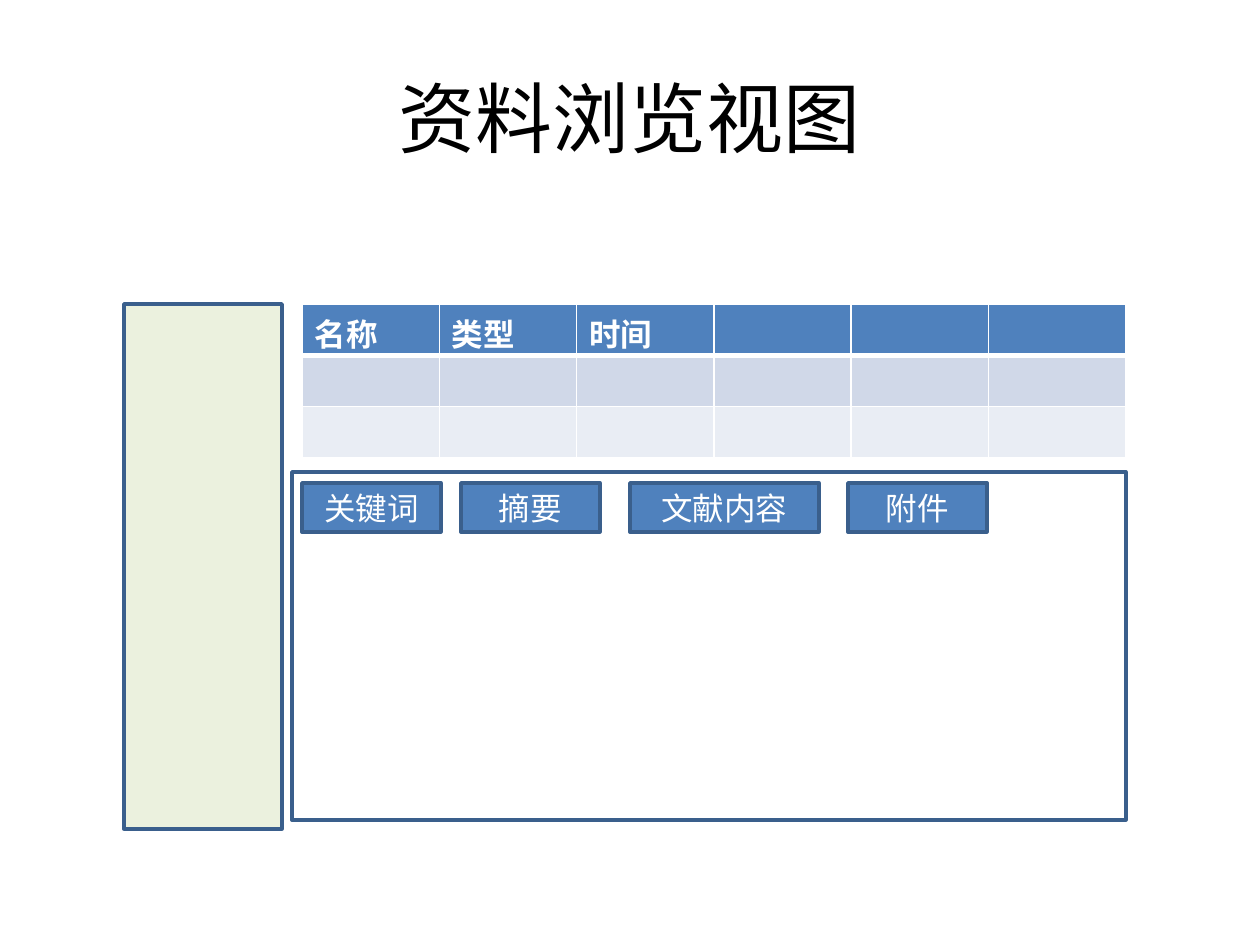
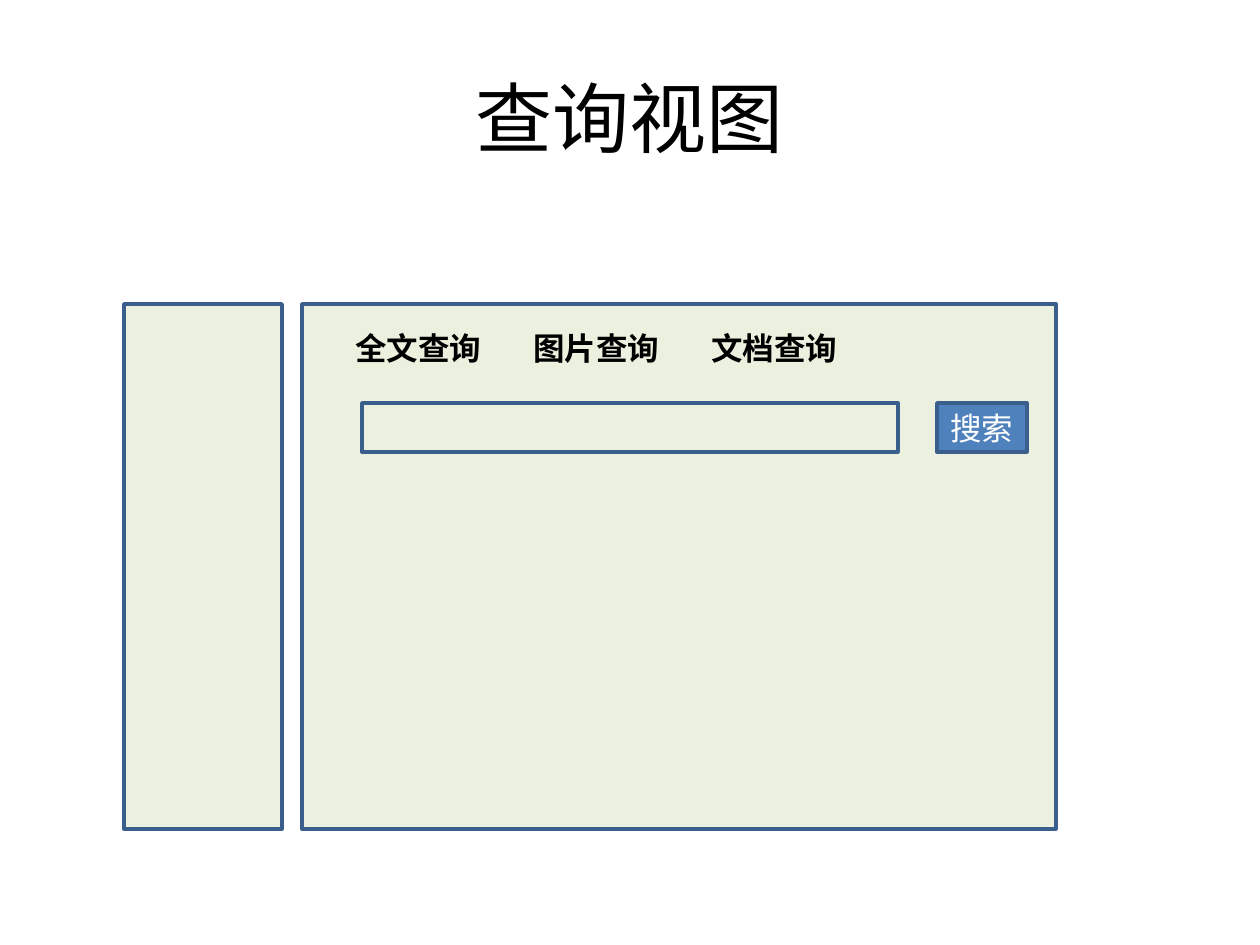
from lxml.etree import SubElement
from pptx import Presentation
from pptx.dml.color import RGBColor
from pptx.enum.shapes import MSO_SHAPE
from pptx.enum.text import MSO_ANCHOR, MSO_AUTO_SIZE, PP_ALIGN
from pptx.oxml.ns import qn
from pptx.util import Emu, Pt

# Content; places are (left, top, width, height) in px
BROWSE_TITLE = "资料浏览视图"
TABLE_HEADERS = ["名称", "类型", "时间", "", "", ""]
DETAIL_BUTTONS = [("关键词", 302, 139), ("摘要", 461, 139),
                  ("文献内容", 630, 189), ("附件", 848, 139)]
QUERY_TITLE = "查询视图"
QUERY_TABS = ["全文查询", "图片查询", "文档查询"]
SEARCH_LABEL = "搜索"

COLORS = {"accent": "4F81BD", "edge": "3A5F8C", "panel": "EBF1DE",
          "row_dark": "D0D8E8", "row_light": "E9EDF4",
          "white": "FFFFFF", "black": "000000"}
PX = 914400 / 126
PAGE_SIZE = (1260, 945)
TITLE_PLACE = (63, 38, 1134, 157)
SIDEBAR_PLACE = (124, 304, 158, 525)
TABLE_PLACE = (302, 304, 824, 154)
DETAIL_PLACE = (292, 472, 834, 348)
BUTTON_TOP, BUTTON_HEIGHT = 483, 49
QUERY_PLACE = (302, 304, 754, 525)
TAB_LEFT, TAB_TOP, TAB_STEP, TAB_WIDTH, TAB_HEIGHT = 343, 323, 178, 154, 50
SEARCH_FIELD_PLACE = (362, 403, 536, 49)
SEARCH_BUTTON_PLACE = (937, 403, 90, 49)

TITLE_FONT = {"size": Pt(44), "name": "Calibri", "bold": False}
BODY_FONT = {"size": Pt(18), "name": "Calibri", "bold": False}
BOLD_FONT = {**BODY_FONT, "bold": True}


def emu(*lengths):
    return [Emu(round(length * PX)) for length in lengths]


def paint(fill, color):
    fill.solid()
    fill.fore_color.rgb = RGBColor.from_string(COLORS[color])


def write(frame, text, font, color, align=PP_ALIGN.LEFT):
    para = frame.paragraphs[0]
    para.alignment = align
    span = para.add_run()
    span.text = text
    for key, value in font.items():
        setattr(span.font, key, value)
    span.font.color.rgb = RGBColor.from_string(COLORS[color])


def add_box(page, place, fill=None, label=""):
    box = page.shapes.add_shape(MSO_SHAPE.RECTANGLE, *emu(*place))
    box.shadow.inherit = False
    if fill:
        paint(box.fill, fill)
    else:
        box.fill.background()
    box.line.color.rgb = RGBColor.from_string(COLORS["edge"])
    box.line.width = Pt(2)
    if label:
        box.text_frame.vertical_anchor = MSO_ANCHOR.MIDDLE
        write(box.text_frame, label, BODY_FONT, "white", PP_ALIGN.CENTER)


def add_page(deck, title):
    page = deck.slides.add_slide(deck.slide_layouts[6])
    frame = page.shapes.add_textbox(*emu(*TITLE_PLACE)).text_frame
    frame.word_wrap = True
    frame.vertical_anchor = MSO_ANCHOR.MIDDLE
    write(frame, title, TITLE_FONT, "black", PP_ALIGN.CENTER)
    add_box(page, SIDEBAR_PLACE, "panel")
    return page


def add_borders(cell, widths):
    properties = cell._tc.get_or_add_tcPr()
    for side, width in widths.items():
        line = SubElement(properties, qn(f"a:ln{side}"), w=str(Pt(width)))
        fill = SubElement(line, qn("a:solidFill"))
        SubElement(fill, qn("a:srgbClr"), val=COLORS["white"])


def add_result_table(page):
    row_fills = ["accent", "row_dark", "row_light"]
    table = page.shapes.add_table(len(row_fills), len(TABLE_HEADERS),
                                  *emu(*TABLE_PLACE)).table
    for row, fill in enumerate(row_fills):
        for column, header in enumerate(TABLE_HEADERS):
            cell = table.cell(row, column)
            # The header is set off by a thick rule
            add_borders(cell, {"L": 1, "R": 1, "T": 3 if row == 1 else 1,
                               "B": 3 if row == 0 else 1})
            paint(cell.fill, fill)
            if row == 0 and header:
                write(cell.text_frame, header, BOLD_FONT, "white")


def build_browse_page(deck):
    page = add_page(deck, BROWSE_TITLE)
    add_result_table(page)
    # Detail pane with its buttons
    add_box(page, DETAIL_PLACE, "white")
    for label, left, width in DETAIL_BUTTONS:
        add_box(page, (left, BUTTON_TOP, width, BUTTON_HEIGHT), "accent", label)


def build_query_page(deck):
    page = add_page(deck, QUERY_TITLE)
    add_box(page, QUERY_PLACE, "panel")
    # Query tabs at an equal step
    for index, label in enumerate(QUERY_TABS):
        place = (TAB_LEFT + index * TAB_STEP, TAB_TOP, TAB_WIDTH, TAB_HEIGHT)
        frame = page.shapes.add_textbox(*emu(*place)).text_frame
        frame.word_wrap = False
        frame.auto_size = MSO_AUTO_SIZE.SHAPE_TO_FIT_TEXT
        write(frame, label, BOLD_FONT, "black")
    # Search row
    add_box(page, SEARCH_FIELD_PLACE)
    add_box(page, SEARCH_BUTTON_PLACE, "accent", SEARCH_LABEL)


def main():
    deck = Presentation()
    deck.slide_width, deck.slide_height = emu(*PAGE_SIZE)
    build_browse_page(deck)
    build_query_page(deck)
    deck.save("out.pptx")


if __name__ == "__main__":
    main()
